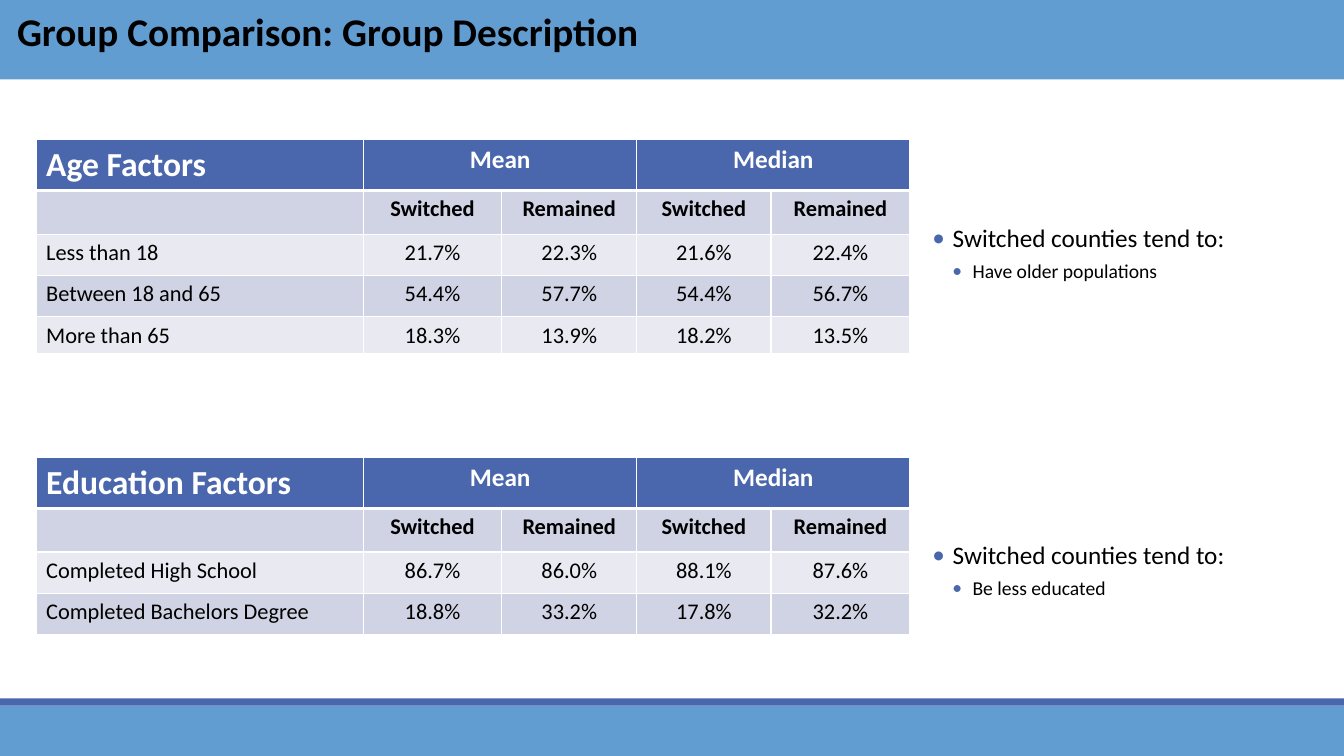
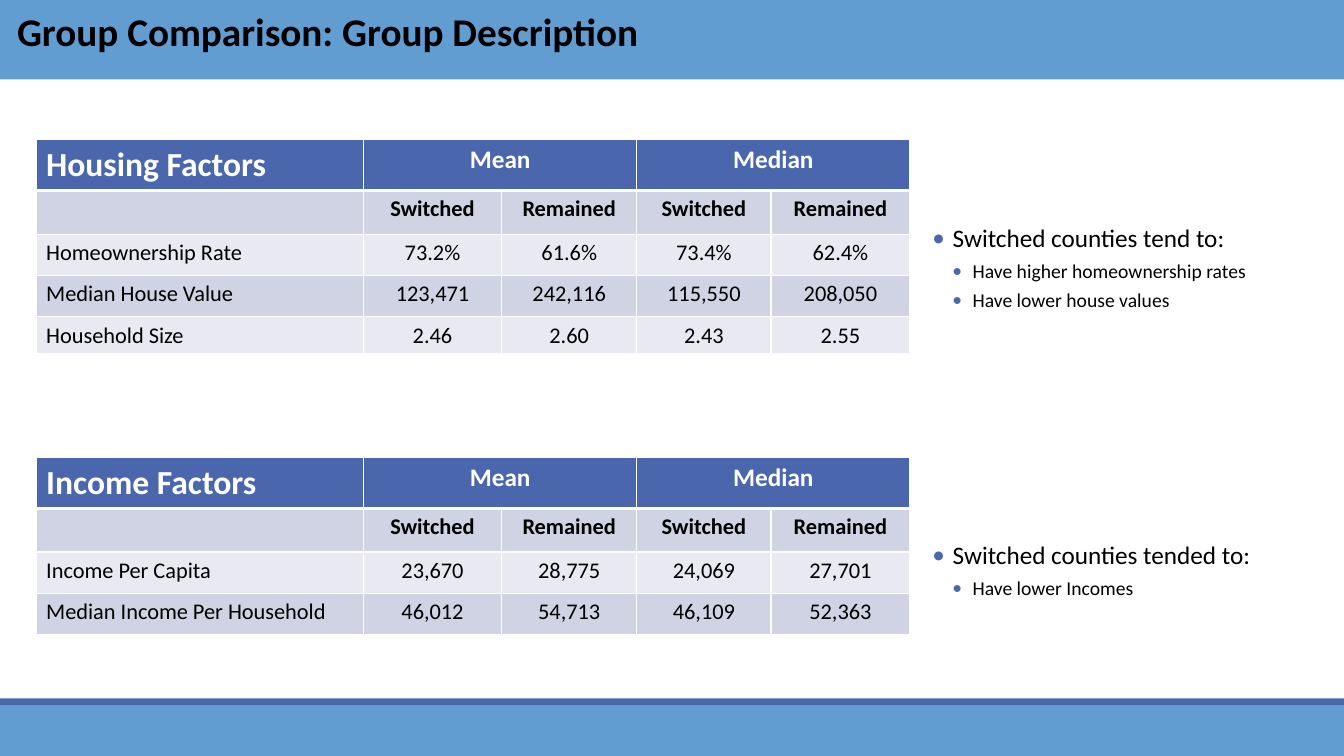
from dataclasses import dataclass

from lxml.etree import SubElement
from pptx import Presentation
from pptx.dml.color import RGBColor
from pptx.enum.shapes import MSO_SHAPE
from pptx.enum.text import MSO_ANCHOR, PP_ALIGN
from pptx.oxml.ns import qn
from pptx.util import Cm, Pt

# Shared style
FONT = "Calibri"
BAND, ACCENT = "629DD1", "4A66AC"
DARK_ROW, LIGHT_ROW = "D0D3E3", "E9EAF1"
BLACK, WHITE = "000000", "FFFFFF"
SLIDE_W, SLIDE_H = 33.87, 19.05
TITLE = "Group Comparison: Group Description"

# Table grid, in cm
TABLE_LEFT, NOTE_LEFT, NOTE_W = 0.91, 22.94, 9.95
COL_WIDTHS = (8.25, 3.48, 3.41, 3.38, 3.5)
ROW_HEIGHTS = (1.29, 1.1, 1.04, 1.04, 0.94)
SUBHEADS = ("", "Switched", "Remained", "Switched", "Remained")


@dataclass
class Band:
    top: float
    height: float
    color: str


@dataclass
class Bullet:
    size: int
    left: float


@dataclass
class Slot:
    table_top: float
    note_top: float
    note_height: float


@dataclass
class Section:
    heading: str
    rows: list[tuple[str, ...]]
    lead: str
    points: list[str]


BANDS = (
    Band(0, 2, BAND),
    Band(17.78, 1.27, BAND),
    Band(17.6, 0.18, ACCENT),
)
BULLETS = (Bullet(18, 1.07), Bullet(14, 1.57))
SLOTS = (Slot(3.51, 5.56, 2.67), Slot(11.52, 13.56, 3.23))

SLIDES = (
    (
        Section(
            "Age Factors",
            [
                ("Less than 18", "21.7%", "22.3%", "21.6%", "22.4%"),
                ("Between 18 and 65", "54.4%", "57.7%", "54.4%", "56.7%"),
                ("More than 65", "18.3%", "13.9%", "18.2%", "13.5%"),
            ],
            "Switched counties tend to:",
            ["Have older populations"],
        ),
        Section(
            "Education Factors",
            [
                ("Completed High School", "86.7%", "86.0%", "88.1%", "87.6%"),
                ("Completed Bachelors Degree", "18.8%", "33.2%", "17.8%", "32.2%"),
            ],
            "Switched counties tend to:",
            ["Be less educated"],
        ),
    ),
    (
        Section(
            "Housing Factors",
            [
                ("Homeownership Rate", "73.2%", "61.6%", "73.4%", "62.4%"),
                ("Median House Value", "123,471", "242,116", "115,550", "208,050"),
                ("Household Size", "2.46", "2.60", "2.43", "2.55"),
            ],
            "Switched counties tend to:",
            ["Have higher homeownership rates", "Have lower house values"],
        ),
        Section(
            "Income Factors",
            [
                ("Income Per Capita", "23,670", "28,775", "24,069", "27,701"),
                ("Median Income Per Household", "46,012", "54,713", "46,109", "52,363"),
            ],
            "Switched counties tended to:",
            ["Have lower Incomes"],
        ),
    ),
)


def rgb(color: str) -> RGBColor:
    return RGBColor.from_string(color)


def add_run(p, text: str, size: int, color: str = BLACK, bold: bool = False) -> None:
    r = p.add_run()
    r.text = text
    r.font.name, r.font.size, r.font.bold = FONT, Pt(size), bold
    r.font.color.rgb = rgb(color)


def add_band(s, band: Band) -> None:
    sp = s.shapes.add_shape(
        MSO_SHAPE.RECTANGLE, 0, Cm(band.top), Cm(SLIDE_W), Cm(band.height))
    sp.shadow.inherit = False
    sp.fill.solid()
    sp.fill.fore_color.rgb = rgb(band.color)
    sp.line.fill.background()


def add_text_box(s, left: float, top: float, width: float, height: float, fill: str):
    sp = s.shapes.add_textbox(Cm(left), Cm(top), Cm(width), Cm(height))
    sp.fill.solid()
    sp.fill.fore_color.rgb = rgb(fill)
    tf = sp.text_frame
    tf.word_wrap = True
    tf.vertical_anchor = MSO_ANCHOR.TOP
    return tf


def add_title(s) -> None:
    p = add_text_box(s, 0.18, 0.2, 29.2, 1.42, BAND).paragraphs[0]
    p.line_spacing, p.space_before = 0.9, Pt(10)
    add_run(p, TITLE, 28, bold=True)


# Tables
def style_cell(cell, fill: str, top: float, bottom: float) -> None:
    tc_pr = cell._tc.get_or_add_tcPr()
    for tag, width in (("a:lnL", 1), ("a:lnR", 1), ("a:lnT", top), ("a:lnB", bottom)):
        ln = SubElement(tc_pr, qn(tag), w=str(Pt(width)))
        SubElement(SubElement(ln, qn("a:solidFill")), qn("a:srgbClr"), val=WHITE)
    cell.fill.solid()
    cell.fill.fore_color.rgb = rgb(fill)


def add_factor_table(s, section: Section, top: float) -> None:
    grid = [(section.heading, "Mean", "", "Median", ""), SUBHEADS, *section.rows]
    heights = ROW_HEIGHTS[:len(grid)]
    table = s.shapes.add_table(
        len(grid), len(COL_WIDTHS), Cm(TABLE_LEFT), Cm(top),
        Cm(sum(COL_WIDTHS)), Cm(sum(heights))).table
    table.first_row = table.horz_banding = False
    for column, width in zip(table.columns, COL_WIDTHS):
        column.width = Cm(width)
    for row, height in zip(table.rows, heights):
        row.height = Cm(height)

    for i, texts in enumerate(grid):
        fill = ACCENT if i == 0 else DARK_ROW if i % 2 else LIGHT_ROW
        for j, text in enumerate(texts):
            cell = table.cell(i, j)
            style_cell(cell, fill, 3 if i == 1 else 1, 3 if i == 0 else 1)
            if not text:
                continue
            p = cell.text_frame.paragraphs[0]
            p.alignment = PP_ALIGN.CENTER if j else PP_ALIGN.LEFT
            size = 16 if i else 18 if j else 24
            add_run(p, text, size, BLACK if i else WHITE, bold=i < 2)
    for j in (1, 3):
        table.cell(0, j).merge(table.cell(0, j + 1))


# Bulleted findings
def add_findings(s, section: Section, slot: Slot) -> None:
    tf = add_text_box(s, NOTE_LEFT, slot.note_top, NOTE_W, slot.note_height, WHITE)
    tf.margin_left = tf.margin_right = 0
    for i, text in enumerate([section.lead, *section.points]):
        p = tf.add_paragraph() if i else tf.paragraphs[0]
        p.level = 2 if i else 1
        bullet = BULLETS[p.level - 1]
        p.line_spacing, p.space_before, p.space_after = 0.9, Pt(2), Pt(4)
        p_pr = p._p.get_or_add_pPr()
        p_pr.set("marL", str(Cm(bullet.left)))
        p_pr.set("indent", str(Cm(-0.51)))
        SubElement(SubElement(p_pr, qn("a:buClr")), qn("a:srgbClr"), val=ACCENT)
        SubElement(p_pr, qn("a:buFont"), typeface=FONT)
        SubElement(p_pr, qn("a:buChar"), char="•")
        add_run(p, text, bullet.size)


# Build the slides
prs = Presentation()
prs.slide_width, prs.slide_height = Cm(SLIDE_W), Cm(SLIDE_H)
for sections in SLIDES:
    s = prs.slides.add_slide(prs.slide_layouts[6])
    for band in BANDS:
        add_band(s, band)
    add_title(s)
    for section, slot in zip(sections, SLOTS):
        add_factor_table(s, section, slot.table_top)
        add_findings(s, section, slot)
prs.save("out.pptx")
